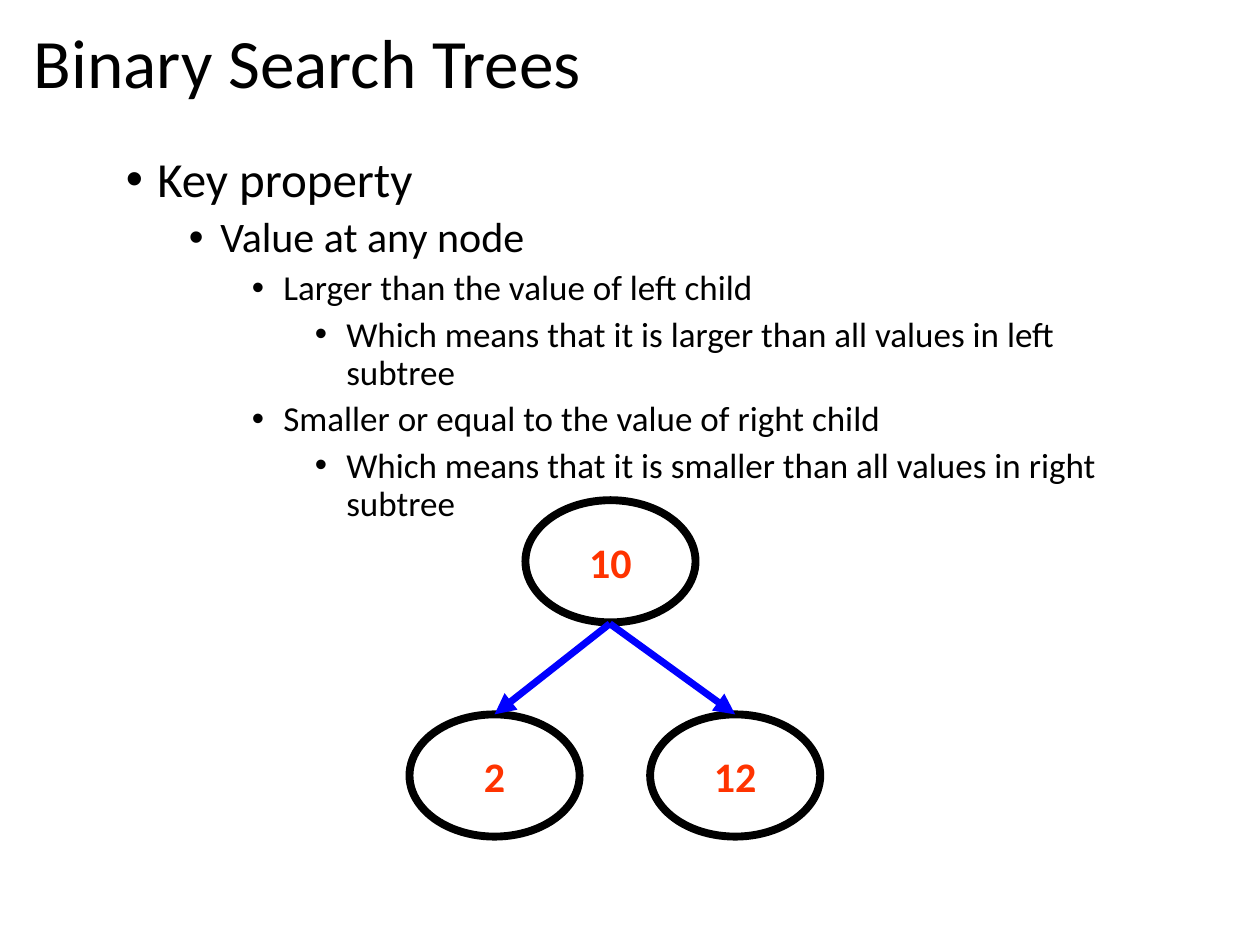
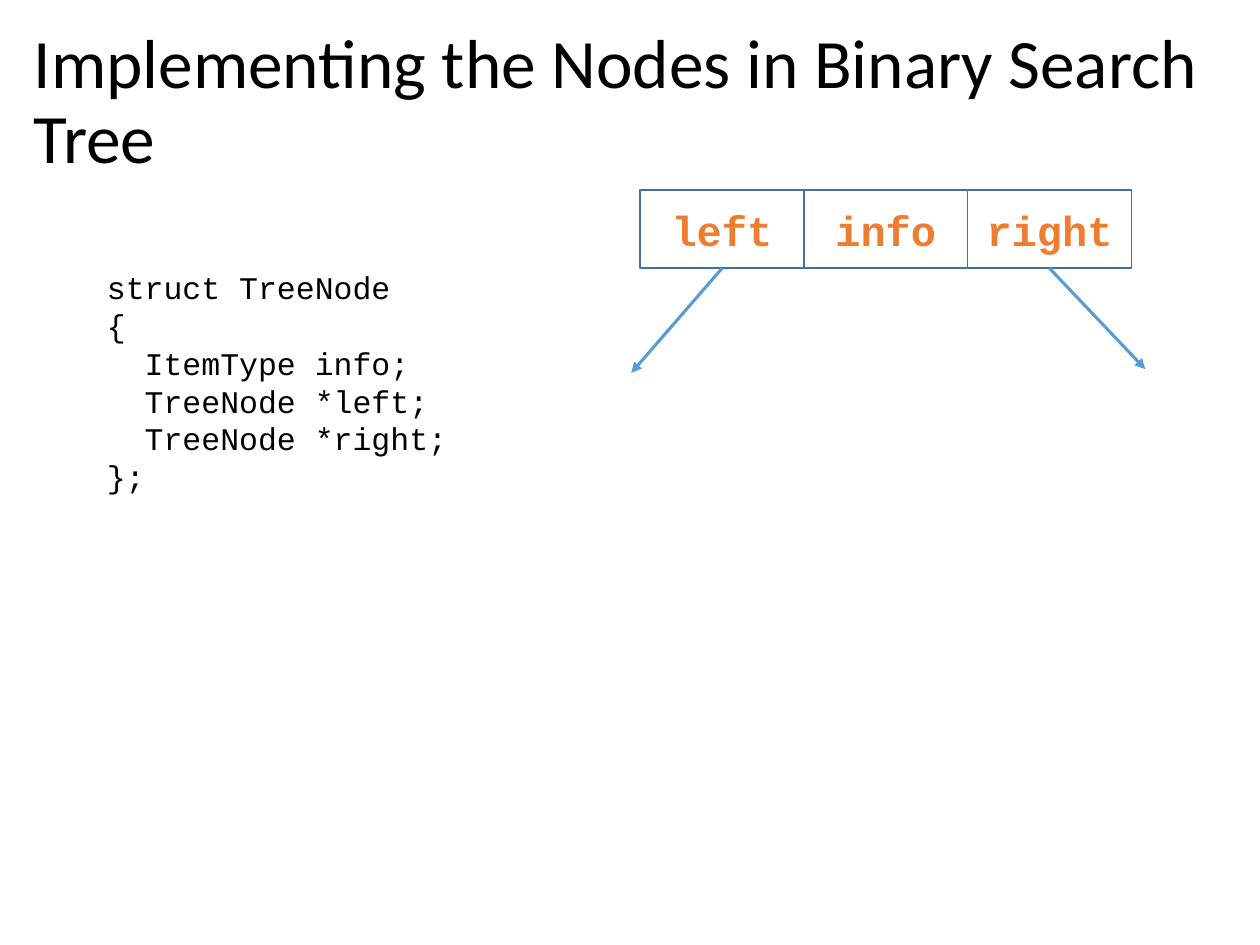
from pptx import Presentation
from pptx import util as u
from pptx.dml import color
from pptx.enum import shapes, text
from pptx.oxml import ns
from lxml import etree

SANS, MONO = "Calibri", "Courier New"
BLACK = "000000"
TITLE = {"name": SANS, "size": u.Pt(39.6)}
BODY = {"name": SANS}
CODE = {"name": MONO, "size": u.Pt(18)}
KEY = {"name": SANS, "size": u.Pt(24), "bold": True}
FIELD = {"name": MONO, "size": u.Pt(24), "bold": True}
SIZES = [28, 24, 20, 20]

POINTS = [
    (0, "Key property"),
    (1, "Value at any node"),
    (2, "Larger than the value of left child"),
    (3, "Which means that it is larger than all values in left subtree"),
    (2, "Smaller or equal to the value of right child"),
    (3, "Which means that it is smaller than all values in right subtree"),
]
STRUCT = [
    (0, "struct TreeNode"),
    (0, "{"),
    (1, "ItemType info;"),
    (1, "TreeNode *left;"),
    (1, "TreeNode *right;"),
    (0, "};"),
]


def rgb(code):
    return color.RGBColor.from_string(code)


def apply(item, look):
    for name, value in look.items():
        setattr(item, name, value)


def inches(*nums):
    return [u.Inches(num) for num in nums]


def add_sub(parent, tag, **attrs):
    return etree.SubElement(parent, ns.qn(tag), attrs)


def add_run(para, words, look, ink=BLACK):
    run = para.add_run()
    run.text = words
    apply(run.font, look)
    run.font.color.rgb = rgb(ink)


def add_box(slide, *place):
    frame = slide.shapes.add_textbox(*inches(*place)).text_frame
    frame.word_wrap = True
    return frame


def add_paras(frame, count):
    return [frame.paragraphs[0]] + [frame.add_paragraph() for _ in range(count - 1)]


def add_title(slide, words):
    para = add_box(slide, 0.17, 0.18, 9.62, 0.74).paragraphs[0]
    para.line_spacing = 0.9
    add_run(para, words, TITLE)


def set_indent(para, left, first=0):
    props = para._p.get_or_add_pPr()
    props.set("marL", str(u.Inches(left)))
    props.set("indent", str(u.Inches(first)))
    return props


def add_points(slide, points):
    frame = add_box(slide, 0.9, 1.18, 8.25, 4.4)
    for para, (level, words) in zip(add_paras(frame, len(points)), points):
        apply(para, {"level": level, "line_spacing": 0.9,
                     "space_before": u.Pt(5 if level else 0)})
        props = set_indent(para, 0.25 + 0.5 * level, -0.25)
        add_sub(add_sub(props, "a:buClr"), "a:srgbClr", val=BLACK)
        add_sub(props, "a:buFont", typeface="Arial")
        add_sub(props, "a:buChar", char="•")
        add_run(para, words, {**BODY, "size": u.Pt(SIZES[level])})


def add_code(slide, lines):
    frame = add_box(slide, 0.75, 2.08, 3.03, 1.92)
    for para, (depth, words) in zip(add_paras(frame, len(lines)), lines):
        set_indent(para, 0.3 * depth)
        add_run(para, words, CODE)


def add_cell(slide, kind, place, words, look, ink, edge, width):
    cell = slide.shapes.add_shape(kind, *inches(*place))
    cell.shadow.inherit = False
    cell.fill.background()
    cell.line.color.rgb = rgb(edge)
    cell.line.width = u.Pt(width)
    frame = cell.text_frame
    apply(frame, {"word_wrap": True, "vertical_anchor": text.MSO_ANCHOR.MIDDLE})
    para = frame.paragraphs[0]
    para.alignment = text.PP_ALIGN.CENTER
    add_run(para, words, look, ink)
    return cell


def add_node(slide, left, top, words):
    return add_cell(slide, shapes.MSO_SHAPE.OVAL, (left, top, 1.35, 0.97),
                    words, KEY, "FF3300", BLACK, 4.5)


def add_field(slide, left, words):
    return add_cell(slide, shapes.MSO_SHAPE.RECTANGLE, (left, 1.51, 1.3, 0.62),
                    words, FIELD, "ED7D31", "42719B", 1)


def add_arrow(slide, start, end, ink, width):
    arrow = slide.shapes.add_connector(shapes.MSO_CONNECTOR.STRAIGHT,
                                       *inches(*start, *end))
    arrow.line.color.rgb = rgb(ink)
    arrow.line.width = u.Pt(width)
    add_sub(arrow.line._get_or_add_ln(), "a:tailEnd", type="triangle")
    add_sub(arrow._element.spPr, "a:effectLst")
    return arrow


def add_slide(deck, title):
    slide = deck.slides.add_slide(deck.slide_layouts[6])
    add_title(slide, title)
    return slide


def draw_tree(deck):
    slide = add_slide(deck, "Binary Search Trees")
    add_points(slide, POINTS)
    add_node(slide, 4.17, 3.97, "10")
    kids = [(3.25, "2"), (5.16, "12")]
    nodes = [add_node(slide, left, 5.67, words) for left, words in kids]
    for (left, _), node in zip(kids, nodes):
        arrow = add_arrow(slide, (4.84, 4.95), (left + 0.68, 5.67), "0000FF", 4)
        arrow.end_connect(node, 0)


def draw_struct(deck):
    slide = add_slide(deck, "Implementing the Nodes in Binary Search Tree")
    add_code(slide, STRUCT)
    left, _, right = [add_field(slide, 5.08 + 1.3 * col, words)
                      for col, words in enumerate(["left", "info", "right"])]
    for field, start, end in [(left, (5.73, 2.13), (5.01, 2.96)),
                              (right, (8.33, 2.13), (9.09, 2.93))]:
        arrow = add_arrow(slide, start, end, "5B9BD5", 1.75)
        arrow.begin_connect(field, 2)


def main():
    deck = Presentation()
    apply(deck, {"slide_width": u.Inches(10), "slide_height": u.Inches(7.5)})
    draw_tree(deck)
    draw_struct(deck)
    deck.save("out.pptx")


if __name__ == "__main__":
    main()
